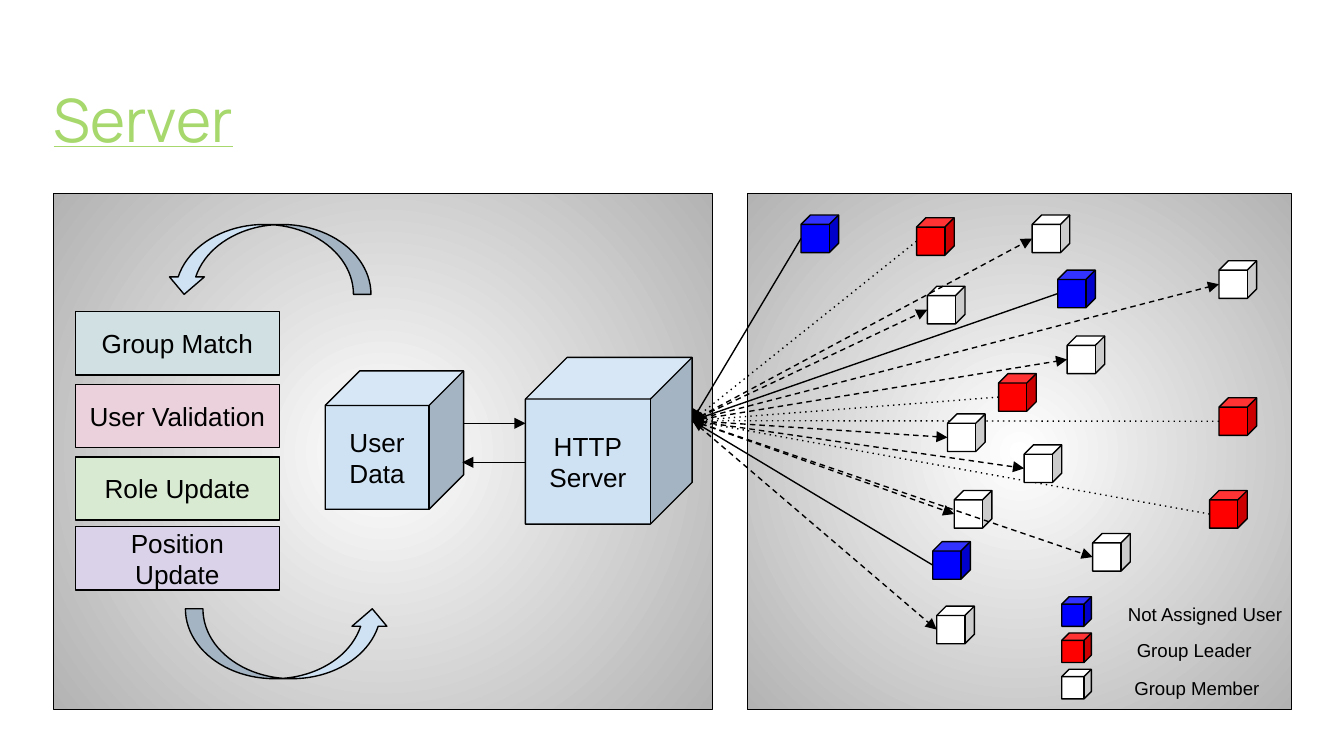
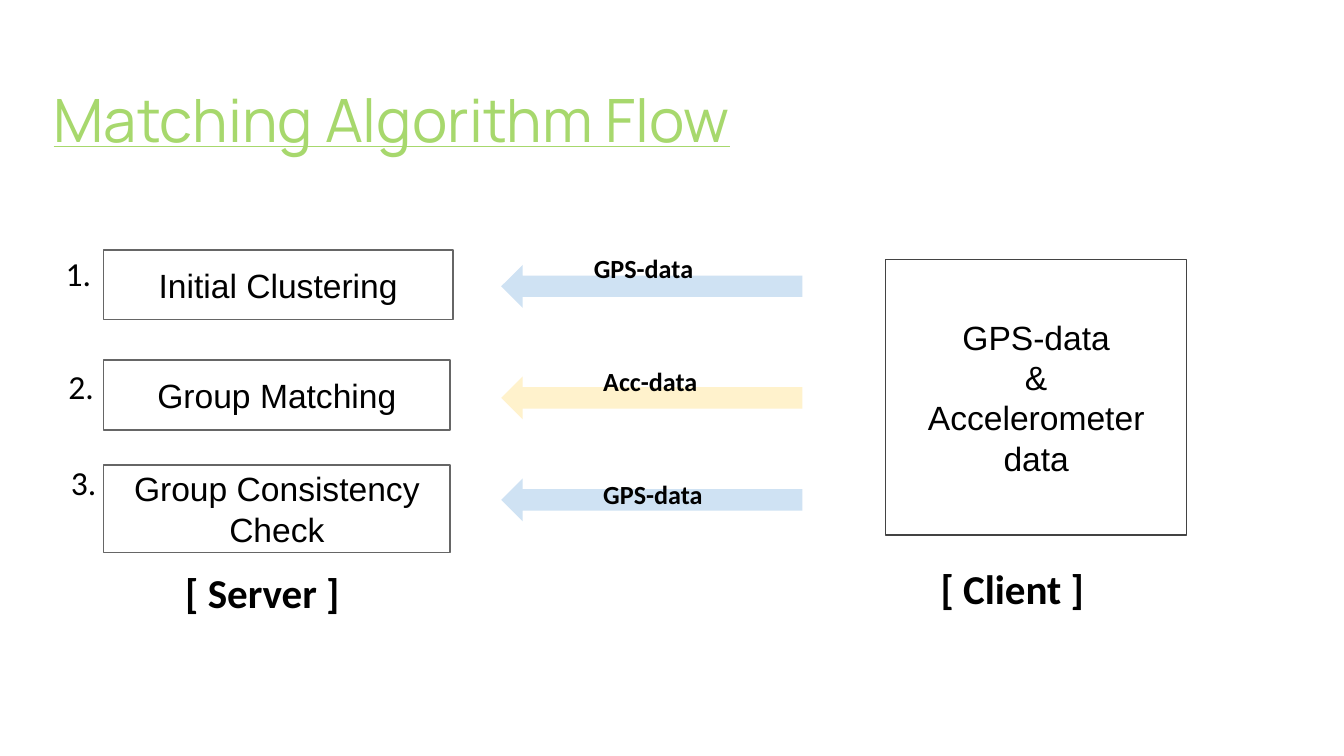
from dataclasses import dataclass
from typing import NamedTuple, Optional

import pptx
import pptx.dml.color
import pptx.enum.shapes
import pptx.enum.text
import pptx.oxml
import pptx.oxml.ns
import pptx.util

Inches = pptx.util.Inches
SHAPE = pptx.enum.shapes.MSO_SHAPE
ALIGN = pptx.enum.text.PP_ALIGN
ANCHOR = pptx.enum.text.MSO_ANCHOR

BLACK, WHITE, GRAY = "000000", "FFFFFF", "666666"
LIME, SKY, CREAM = "A7D86D", "CFE2F3", "FFF2CC"
CUBE, KEY_CUBE = 0.28, 0.22


class Spot(NamedTuple):
    left: float
    top: float
    width: float
    height: float


class Point(NamedTuple):
    x: float
    y: float


@dataclass(frozen=True)
class Type:
    face: str
    size: int
    color: str = BLACK
    bold: bool = False
    under: bool = False


@dataclass(frozen=True)
class User:
    """A kind of client: its cubes, link style, and legend entry."""
    label: str
    fill: str
    dash: str
    sends: bool
    spots: list[Point]
    key_top: float
    label_spot: Spot


@dataclass(frozen=True)
class Step:
    label: str
    spot: Spot
    number: Point
    arrow_top: float
    fill: str
    data: str
    data_spot: Point


TITLE = Type("Manrope", 32, LIME, under=True)
PART = Type("Arial", 14)
LEGEND = Type("Arial", 10)
STAGE = Type("Arial", 18)
NUMBER = Type("Calibri", 18)
DATA = Type("Calibri", 14, bold=True)
SIDE = Type("Calibri", 22, bold=True)

HUB = Point(5.15, 3.13)
PANELS = [Spot(0.4, 1.44, 4.9, 3.84), Spot(5.56, 1.44, 4.05, 3.84)]
TASKS = [
    ("Group Match", 2.32, "D0E0E3"),
    ("User Validation", 2.86, "EAD1DC"),
    ("Role Update", 3.4, "D9EAD3"),
    ("Position Update", 3.92, "D9D2E9"),
]
USERS = [
    User("Group Leader", "FF0000", "dot", True,
         [Point(6.82, 1.62), Point(7.43, 2.78), Point(9, 3.65),
          Point(9.07, 2.96)],
         4.71, Spot(8.33, 4.67, 1.11, 0.3)),
    User("Group Member", WHITE, "dash", False,
         [Point(6.9, 2.13), Point(6.97, 4.51), Point(7.05, 3.08),
          Point(7.62, 3.31), Point(7.68, 1.6), Point(7.94, 2.5),
          Point(7.1, 3.65), Point(8.13, 3.97), Point(9.07, 1.94)],
         4.98, Spot(8.27, 4.95, 1.27, 0.3)),
    User("Not Assigned User", "0000FF", "solid", True,
         [Point(7.87, 2.01), Point(5.96, 1.6), Point(6.94, 4.03)],
         4.44, Spot(8.27, 4.4, 1.39, 0.3)),
]
STEPS = [
    Step("Initial Clustering", Spot(0.77, 1.86, 2.6, 0.52),
         Point(0.39, 1.78), 1.97, SKY, "GPS-data", Point(4.32, 1.78)),
    Step("Group Matching", Spot(0.77, 2.68, 2.58, 0.52),
         Point(0.41, 2.62), 2.8, CREAM, "Acc-data", Point(4.39, 2.62)),
    Step("Group Consistency Check", Spot(0.77, 3.46, 2.58, 0.65),
         Point(0.43, 3.34), 3.56, SKY, "GPS-data", Point(4.39, 3.46)),
]


def hue(code: str) -> pptx.dml.color.RGBColor:
    return pptx.dml.color.RGBColor.from_string(code)


def node(tag: str, traits: str = "", inner: str = ""):
    """Make a drawing element."""
    space = pptx.oxml.ns.nsdecls("a")
    return pptx.oxml.parse_xml(f"<a:{tag} {space} {traits}>{inner}</a:{tag}>")


def write(shape, text: str, kind: Type, align=ALIGN.LEFT,
          anchor=ANCHOR.TOP, inset: float = 0.1) -> None:
    frame = shape.text_frame
    frame.text = text
    frame.word_wrap = True
    frame.vertical_anchor = anchor
    frame.margin_left = frame.margin_right = Inches(inset)
    frame.margin_top = frame.margin_bottom = Inches(inset)
    for line in frame.paragraphs:
        line.alignment = align
        for run in line.runs:
            font = run.font
            font.name, font.size = kind.face, pptx.util.Pt(kind.size)
            font.bold, font.underline = kind.bold, kind.under
            font.color.rgb = hue(kind.color)


def label(slide, spot: Spot, text: str, kind: Type, **style) -> None:
    write(slide.shapes.add_textbox(*map(Inches, spot)), text, kind, **style)


def draw(slide, form: SHAPE, spot: Spot, fill: Optional[str] = None,
         edge: Optional[str] = BLACK, text: str = "", kind: Type = PART):
    shape = slide.shapes.add_shape(form, *map(Inches, spot))
    shape.shadow.inherit = False
    if fill:
        shape.fill.solid()
        shape.fill.fore_color.rgb = hue(fill)
    else:
        shape.fill.background()
    if edge:
        shape.line.color.rgb = hue(edge)
        shape.line.width = pptx.util.Pt(0.75)
    else:
        shape.line.fill.background()
    if text:
        write(shape, text, kind, ALIGN.CENTER, ANCHOR.MIDDLE)
    return shape


def glow(shape) -> None:
    """Fill with a radial gradient, white in the middle."""
    shape.fill.gradient()
    for stop, code in zip(shape.fill.gradient_stops, (WHITE, "B3B3B3")):
        stop.color.rgb = hue(code)
    grad = shape.element.spPr.find(pptx.oxml.ns.qn("a:gradFill"))
    grad.remove(grad.find(pptx.oxml.ns.qn("a:lin")))
    grad.append(node(
        "path", 'path="circle"',
        '<a:fillToRect l="50000" t="50000" r="50000" b="50000"/>'))


def link(slide, start: Point, end: Point, dash: str = "solid") -> None:
    line = slide.shapes.add_connector(
        pptx.enum.shapes.MSO_CONNECTOR.STRAIGHT, *map(Inches, start + end))
    line.line.color.rgb = hue(BLACK)
    line.line.width = pptx.util.Pt(0.75)
    stroke = line.get_or_add_ln()
    stroke.append(node("prstDash", f'val="{dash}"'))
    stroke.append(node("tailEnd", 'type="triangle"'))
    line.element.spPr.append(node("effectLst"))


def begin(deck, title: str):
    slide = deck.slides.add_slide(deck.slide_layouts[6])
    label(slide, Spot(0.4, 0.21, 10.23, 0.94), title, TITLE,
          anchor=ANCHOR.BOTTOM, inset=0)
    return slide


def add_users(slide, user: User) -> None:
    for spot in user.spots:
        draw(slide, SHAPE.CUBE, Spot(*spot, CUBE, CUBE), user.fill)
    for spot in user.spots:
        ends = [Point(spot.x, spot.y + CUBE * 5 / 8), HUB]
        link(slide, *(ends if user.sends else ends[::-1]), user.dash)
    draw(slide, SHAPE.CUBE, Spot(7.9, user.key_top, KEY_CUBE, KEY_CUBE),
         user.fill)
    label(slide, user.label_spot, user.label, LEGEND, align=ALIGN.CENTER)


def add_server(deck) -> None:
    slide = begin(deck, "Server")
    for spot in PANELS:
        glow(draw(slide, SHAPE.RECTANGLE, spot))
    draw(slide, SHAPE.CUBE, Spot(3.91, 2.66, 1.24, 1.24), SKY,
         text="HTTP\nServer")
    draw(slide, SHAPE.CUBE, Spot(2.42, 2.76, 1.03, 1.03), SKY,
         text="User Data")
    for text, top, fill in TASKS:
        draw(slide, SHAPE.RECTANGLE, Spot(0.56, top, 1.52, 0.47), fill,
             text=text)
    for left, top, turn in [(1.38, 4.53, 0), (1.24, 1.67, 180)]:
        arrow = draw(slide, SHAPE.CURVED_UP_ARROW,
                     Spot(left, top, 1.52, 0.52), SKY)
        arrow.rotation = turn
    link(slide, Point(3.45, 3.15), Point(3.91, 3.15))
    link(slide, Point(3.91, 3.44), Point(3.44, 3.44))
    for user in USERS:
        add_users(slide, user)


def add_flow(deck) -> None:
    slide = begin(deck, "Matching Algorithm Flow")
    for count, step in enumerate(STEPS, 1):
        draw(slide, SHAPE.RECTANGLE, step.spot, edge=GRAY, text=step.label,
             kind=STAGE)
        label(slide, Spot(*step.number, 1.46, 0.62), f"{count}.", NUMBER)
        draw(slide, SHAPE.LEFT_ARROW, Spot(3.73, step.arrow_top, 2.24, 0.32),
             step.fill, edge=None)
        label(slide, Spot(*step.data_spot, 1.33, 0.32), step.data, DATA)
    draw(slide, SHAPE.RECTANGLE, Spot(6.59, 1.93, 2.24, 2.05), edge="434343",
         text="GPS-data\n&\nAccelerometer data", kind=STAGE)
    label(slide, Spot(1.28, 4.12, 1.82, 0.63), "[ Server ]", SIDE)
    label(slide, Spot(6.9, 4.09, 1.82, 0.63), "[ Client ]", SIDE)


def main() -> None:
    deck = pptx.Presentation()
    deck.slide_width = Inches(10)
    deck.slide_height = Inches(10 * 9 / 16)
    add_server(deck)
    add_flow(deck)
    deck.save("out.pptx")


if __name__ == "__main__":
    main()
